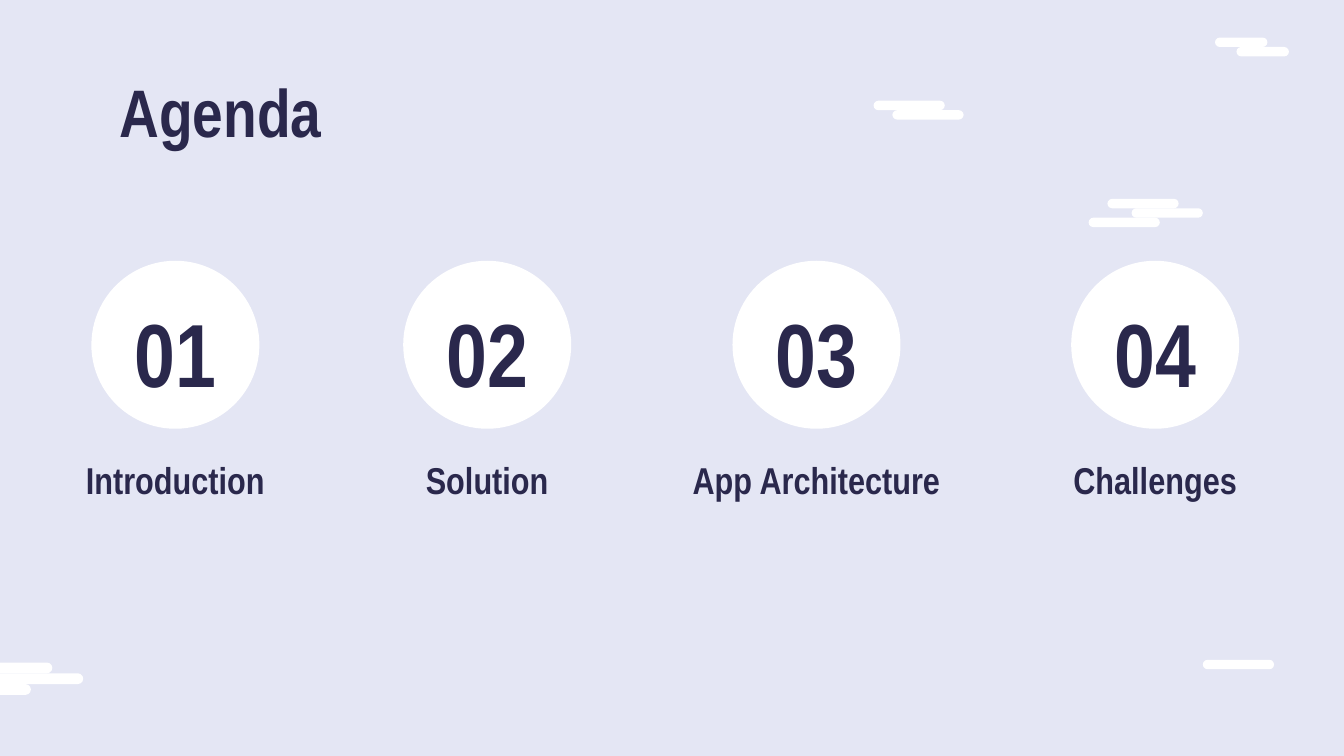
"""Build the agenda slide with four numbered topics and drifting clouds."""
from pptx import Presentation
from pptx.dml.color import RGBColor
from pptx.enum.shapes import MSO_SHAPE
from pptx.enum.text import MSO_ANCHOR, PP_ALIGN
from pptx.util import Inches, Pt

PILL = MSO_SHAPE.ROUNDED_RECTANGLE
LEFT, CENTER = PP_ALIGN.LEFT, PP_ALIGN.CENTER
TOP, MIDDLE = MSO_ANCHOR.TOP, MSO_ANCHOR.MIDDLE
INK, WHITE, SKY = "2A284C", "FFFFFF", "E4E6F4"


def pill(x, y, w, h):
    s = slide.shapes.add_shape(PILL, Inches(x), Inches(y), Inches(w), Inches(h))
    s.adjustments[0] = 0.5
    s.shadow.inherit = False
    s.fill.solid()
    s.fill.fore_color.rgb = RGBColor.from_string(WHITE)
    s.line.fill.background()


def write(sp, box, text, size, align=CENTER, anchor=TOP):
    sp.left, sp.top, sp.width, sp.height = map(Inches, box)
    tf = sp.text_frame
    frame = {"word_wrap": True, "vertical_anchor": anchor}
    frame.update({f"margin_{side}": Inches(0.1) for side in ("left", "top", "right", "bottom")})
    for name, value in frame.items():
        setattr(tf, name, value)
    p = tf.paragraphs[0]
    p.alignment = align
    p.line_spacing = 1.0
    p.space_before = Pt(0)
    r = p.add_run()
    r.text = text
    for name, value in {"name": "Arial Narrow", "size": Pt(size), "bold": True}.items():
        setattr(r.font, name, value)
    r.font.color.rgb = RGBColor.from_string(INK)


prs = Presentation()
prs.slide_width = Inches(10)
prs.slide_height = Inches(10) * 9 // 16
slide = prs.slides.add_slide(prs.slide_layouts[5])
slide.background.fill.solid()
slide.background.fill.fore_color.rgb = RGBColor.from_string(SKY)

clouds = [
    (0.66, 0.08, [(-0.04, 5.01), (-0.27, 4.93), (-0.43, 5.09)]),
    (0.53, 0.07, [(8.42, 1.55), (8.24, 1.48), (8.1, 1.62)]),
    (0.53, 0.07, [(6.5, 0.75), (6.64, 0.82)]),
    (0.53, 0.07, [(8.95, 4.91)]),
    (0.39, 0.07, [(9.2, 0.35), (9.04, 0.28)]),
]
for width, height, puffs in clouds:
    for x, y in puffs:
        pill(x, y, width, height)

write(slide.shapes.title, (0.79, 0.42, 8.43, 0.67), "Agenda", 36, LEFT)

topics = [(0.68, "Introduction"), (3, "Solution"), (5.45, "App Architecture"), (7.97, "Challenges")]
for number, (x, topic) in enumerate(topics, 1):
    pill(x, 1.94, 1.25, 1.25)
    labels = [
        ((x + 0.14, 2.26, 0.97, 0.71), f"{number:02d}", 48, MIDDLE),
        ((x - 0.57, 3.3, 2.39, 0.41), topic, 20, TOP),
    ]
    for box, text, size, anchor in labels:
        sp = slide.shapes.add_textbox(*map(Inches, box))
        write(sp, box, text, size, anchor=anchor)

prs.save("out.pptx")
